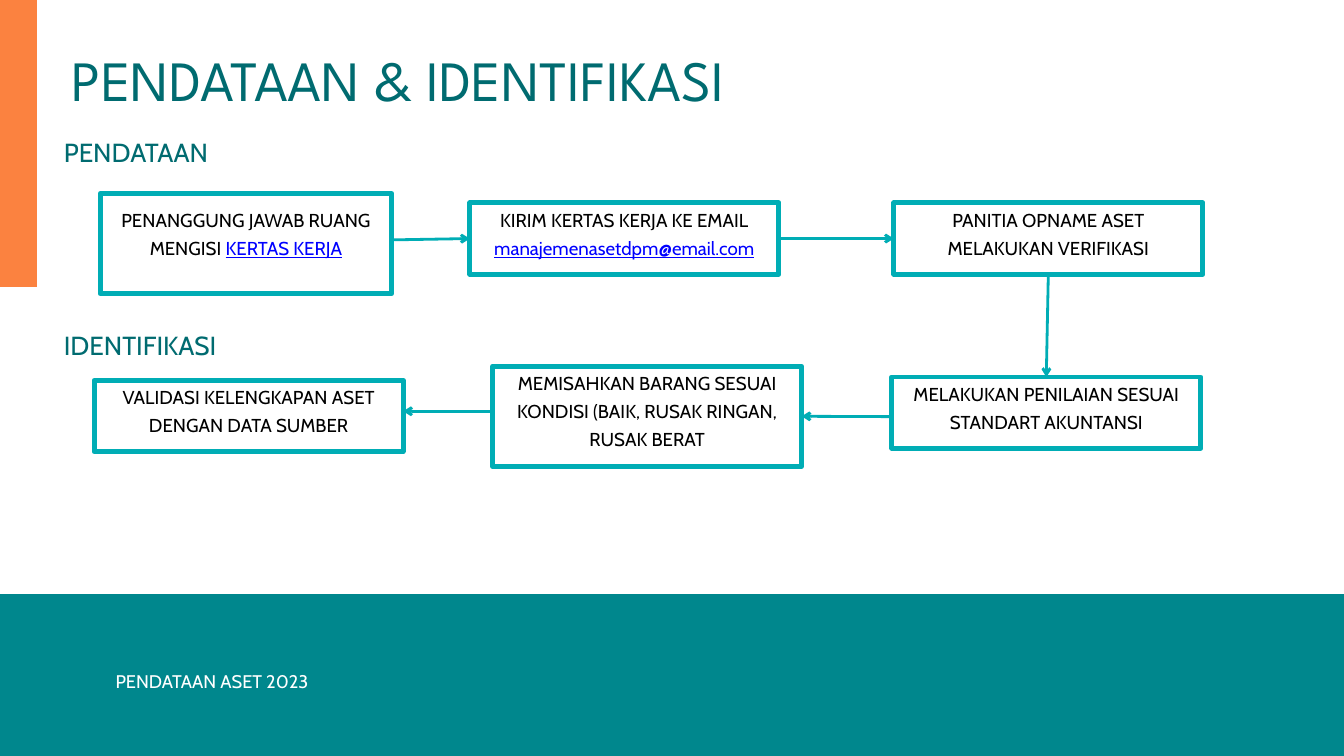
from lxml import etree
from pptx import Presentation
from pptx.dml.color import RGBColor
from pptx.enum.shapes import MSO_CONNECTOR, MSO_SHAPE
from pptx.enum.text import MSO_ANCHOR, PP_ALIGN
from pptx.oxml.ns import qn
from pptx.util import Inches, Pt

RECT = MSO_SHAPE.RECTANGLE
LINE = MSO_CONNECTOR.STRAIGHT
TOP = MSO_ANCHOR.TOP
LEFT, MID, JUST = PP_ALIGN.LEFT, PP_ALIGN.CENTER, PP_ALIGN.JUSTIFY
NORTH, WEST, SOUTH, EAST = range(4)
COLS, ROWS = 20, 11.25
HEX = {"teal": "00878D", "orange": "FB8240", "edge": "00ADB5", "title": "006B70",
       "white": "FFFFFF", "black": "000000", "link": "0000FF"}
BODY, HEAD = "Cabin", "League Spartan"


class Deck:
    """Holds the style, the grid and the current slide."""

    def __init__(self):
        self.prs = Presentation()
        self.prs.slide_width, self.prs.slide_height = Inches(20), Inches(11.25)
        self.slide = self.prs.slides.add_slide(self.prs.slide_layouts[6])
        self.shapes = self.slide.shapes

    def grid(self, x, y):
        return (round(self.prs.slide_width * x / COLS),
                round(self.prs.slide_height * y / ROWS))

    def color(self, name):
        return RGBColor.from_string(HEX[name])

    def block(self, x, y, w, h, fill):
        shape = self.shapes.add_shape(RECT, *self.grid(x, y), *self.grid(w, h))
        shape.shadow.inherit = False
        shape.fill.solid()
        shape.fill.fore_color.rgb = self.color(fill)
        shape.line.fill.background()
        return shape

    def words(self, shape, runs, size, lead, color, align, font=BODY, side=0, top=0):
        frame = shape.text_frame
        frame.word_wrap = True
        frame.vertical_anchor = TOP
        frame.margin_left = frame.margin_right = Inches(side)
        frame.margin_top, frame.margin_bottom = Inches(top), 0
        para = frame.paragraphs[0]
        para.alignment, para.line_spacing = align, Pt(lead)
        para.font.size, para.font.name = Pt(size), font
        para.font.color.rgb = self.color(color)
        for text, link in runs:
            run = para.add_run()
            run.text = text
            if link:
                run.font.underline = True
                run.font.color.rgb = self.color("link")

    def label(self, text, x, y, w, h, *style, **more):
        box = self.shapes.add_textbox(*self.grid(x, y), *self.grid(w, h))
        self.words(box, [(text, False)], *style, **more)

    def step(self, x, y, w, h, text, link="", top=0):
        box = self.block(x, y, w, h, "white")
        box.line.color.rgb = self.color("edge")
        box.line.width = Pt(5.25)
        runs = [(text, False)] + ([(link, True)] if link else [])
        self.words(box, runs, 20, 30, "black", MID, side=0.06, top=top)
        return box

    def arrow(self, start, end, tail=None, head=None):
        line = self.shapes.add_connector(LINE, *self.grid(*start), *self.grid(*end))
        if tail:
            line.begin_connect(*tail)
        if head:
            line.end_connect(*head)
        line.line.color.rgb = self.color("edge")
        line.line.width = Pt(3)
        props = line._element.spPr
        etree.SubElement(props.find(qn("a:ln")), qn("a:tailEnd"), type="arrow")
        etree.SubElement(props, qn("a:effectLst"))


def main():
    deck = Deck()
    deck.block(0, 8.84, COLS, ROWS - 8.84, "teal")
    deck.block(0, 0, 0.55, 4.27, "orange")
    deck.label("PENDATAAN & IDENTIFIKASI", 1.07, 0.49, 15.72, 1.14,
               61, 85.4, "title", LEFT, font=HEAD)
    deck.label("PENDATAAN ASET 2023", 1.27, 9.92, 3.77, 0.35, 19.6, 27.5, "white", MID)
    for text, y in (("PENDATAAN", 1.84), ("IDENTIFIKASI", 4.7)):
        deck.label(text, 0.95, y, 2.55, 0.61, 28, 47.6, "title", JUST)

    wide, low, tall = 4.6, 1.06, 1.49
    deck.step(1.49, 2.88, 4.34, tall, "PENANGGUNG JAWAB RUANG MENGISI ",
              "KERTAS KERJA", top=0.14)
    send = deck.step(6.99, 3.02, wide, low, "KIRIM KERTAS KERJA KE EMAIL ",
                     "manajemenasetdpm@email.com")
    check = deck.step(13.3, 3.02, wide, low, "PANITIA OPNAME ASET MELAKUKAN VERIFIKASI")
    rate = deck.step(13.27, 5.61, wide, low,
                     "MELAKUKAN PENILAIAN SESUAI STANDART AKUNTANSI")
    sort = deck.step(7.33, 5.45, wide, tall,
                     "MEMISAHKAN BARANG SESUAI KONDISI (BAIK, RUSAK RINGAN, RUSAK BERAT")
    deck.step(1.4, 5.66, wide, low, "VALIDASI KELENGKAPAN ASET DENGAN DATA SUMBER")

    deck.arrow((5.83, 3.57), (6.99, 3.57), head=(send, WEST))
    deck.arrow((11.59, 3.55), (13.3, 3.55), (send, EAST), (check, WEST))
    deck.arrow((15.6, 4.08), (15.57, 5.61), (check, SOUTH), (rate, NORTH))
    deck.arrow((13.27, 6.2), (11.93, 6.2), head=(sort, EAST))
    deck.arrow((7.33, 6.12), (6, 6.12))
    deck.prs.save("out.pptx")


if __name__ == "__main__":
    main()
